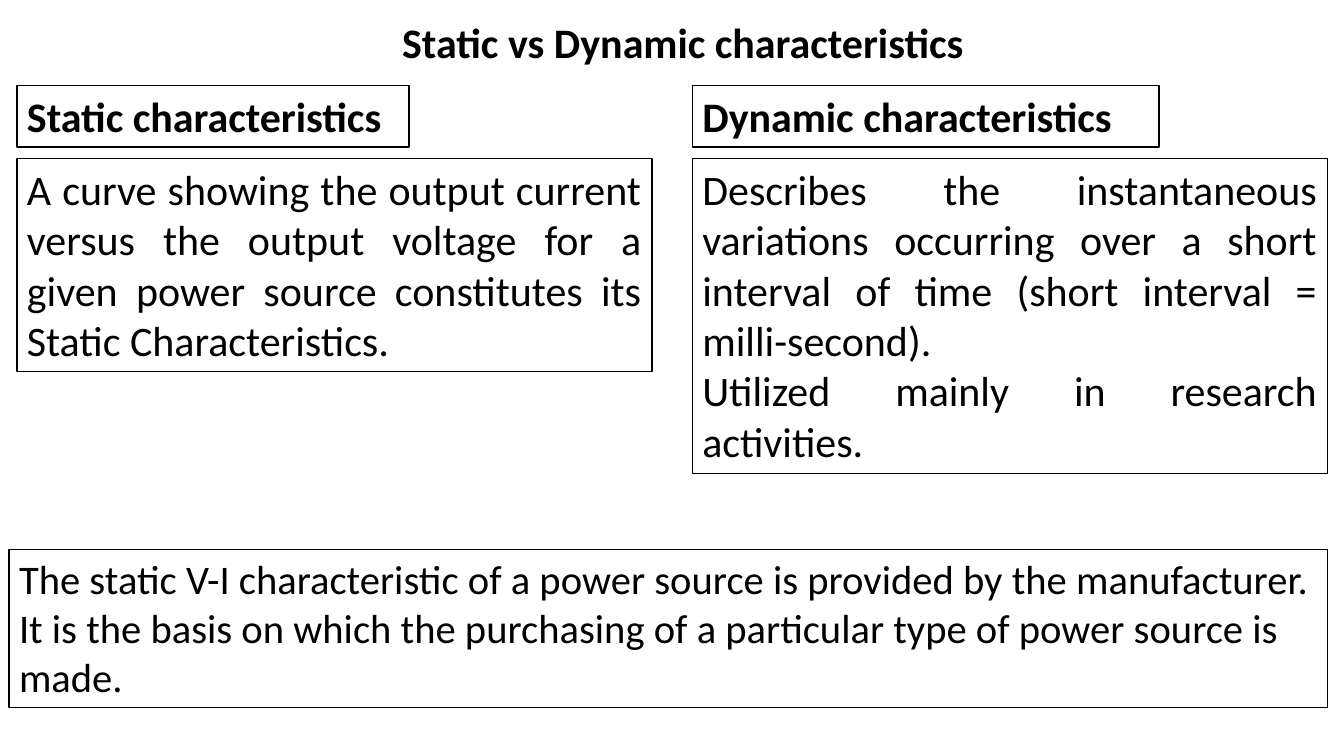
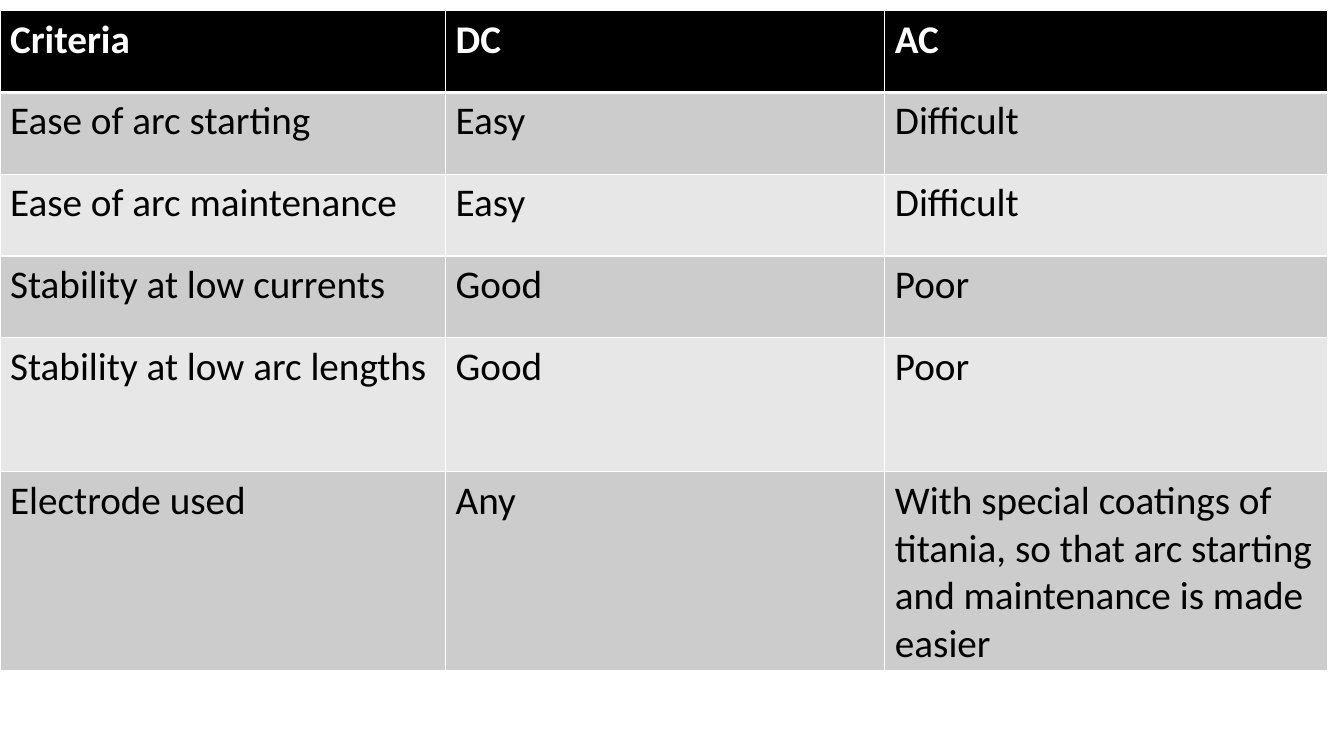
from dataclasses import dataclass

from lxml import etree
from pptx import Presentation
from pptx.dml.color import RGBColor
from pptx.enum import shapes, text
from pptx.oxml import ns
from pptx.util import Cm, Pt

FONT = "Calibri"
COLORS = {"ink": "000000", "paper": "FFFFFF", "odd_row": "CCCCCC", "even_row": "E7E7E7"}
JUSTIFY, LEFT = text.PP_ALIGN.JUSTIFY, text.PP_ALIGN.LEFT

COLUMN_LEFTS = (0.43, 17.45)
HEADING_TOP, BODY_TOP = 2.16, 3.99
HEADING_HEIGHT, BODY_WIDTH = 1.55, 16.0

CRITERIA_ROWS = (
    ("Criteria", "DC", "AC"),
    ("Ease of arc starting", "Easy", "Difficult"),
    ("Ease of arc maintenance", "Easy", "Difficult"),
    ("Stability at low currents", "Good", "Poor"),
    ("Stability at low arc lengths", "Good", "Poor"),
    ("Electrode used", "Any", "With special coatings of titania, so that arc starting "
     "and maintenance is made easier"),
)
COLUMN_WIDTHS = (11.23, 11.07, 11.15)
ROW_HEIGHTS = (2.06, 2.06, 2.06, 2.06, 3.38, 4.97)


@dataclass
class Box:
    """A framed text; lengths are in centimetres."""
    left: float
    top: float
    width: float
    height: float
    lines: tuple[str, ...]
    size: float = 30
    bold: bool = False
    align: text.PP_ALIGN = JUSTIFY


@dataclass
class Characteristic:
    heading: str
    heading_width: float
    body: tuple[str, ...]
    body_height: float


CHARACTERISTICS = (
    Characteristic("Static characteristics", 9.88, (
        "A curve showing the output current versus the output voltage for a given "
        "power source constitutes its Static Characteristics.",), 5.38),
    Characteristic("Dynamic characteristics", 11.76, (
        "Describes the instantaneous variations occurring over a short interval of time "
        "(short interval = milli-second).",
        "Utilized mainly in research activities."), 7.95),
)
SUMMARY = Box(0.23, 13.84, 33.22, 3.99, (
    "The static V-I characteristic of a power source is provided by the manufacturer.",
    "It is the basis on which the purchasing of a particular type of power source is made.",
), size=29, align=LEFT)


def rgb(name: str) -> RGBColor:
    return RGBColor.from_string(COLORS[name])


def write(tf, lines: tuple[str, ...], size: float, bold: bool = False,
          align: text.PP_ALIGN = LEFT, color: str = "ink") -> None:
    tf.text = "\n".join(lines)
    for p in tf.paragraphs:
        p.alignment = align
        for name, value in {"name": FONT, "size": Pt(size), "bold": bold}.items():
            setattr(p.font, name, value)
        p.font.color.rgb = rgb(color)


def fit_frame(tf) -> None:
    """Wrap from the top and let the shape follow its text."""
    frame_format = {"word_wrap": True, "vertical_anchor": text.MSO_ANCHOR.TOP,
                    "auto_size": text.MSO_AUTO_SIZE.SHAPE_TO_FIT_TEXT}
    for name, value in frame_format.items():
        setattr(tf, name, value)


def add_title(s, title: str) -> None:
    sp = s.shapes.title
    position = {"left": 9.88, "top": 0.3, "width": 15.29, "height": 1.55}
    for name, value in position.items():
        setattr(sp, name, Cm(value))
    fit_frame(sp.text_frame)
    write(sp.text_frame, (title,), 30, True, JUSTIFY)


def add_box(s, box: Box) -> None:
    place = (Cm(v) for v in (box.left, box.top, box.width, box.height))
    sp = s.shapes.add_shape(shapes.MSO_SHAPE.RECTANGLE, *place)
    sp.shadow.inherit = False
    sp.fill.solid()
    sp.fill.fore_color.rgb = rgb("paper")
    sp.line.color.rgb = rgb("ink")
    sp.line.width = Pt(1)
    fit_frame(sp.text_frame)
    write(sp.text_frame, box.lines, box.size, box.bold, box.align)


def set_borders(cell, widths: dict[str, float]) -> None:
    """Draw paper-coloured borders; keys are L, R, T and B in this order."""
    props = cell._tc.get_or_add_tcPr()
    for i, (side, width) in enumerate(widths.items()):
        line = etree.Element(ns.qn(f"a:ln{side}"), w=str(Pt(width)))
        fill = etree.SubElement(line, ns.qn("a:solidFill"))
        etree.SubElement(fill, ns.qn("a:srgbClr"), val=COLORS["paper"])
        props.insert(i, line)


def add_criteria_table(s) -> None:
    frame = s.shapes.add_table(len(CRITERIA_ROWS), len(COLUMN_WIDTHS), Cm(0), Cm(0.27),
                               Cm(sum(COLUMN_WIDTHS)), Cm(sum(ROW_HEIGHTS)))
    table = frame.table
    for column, width in zip(table.columns, COLUMN_WIDTHS):
        column.width = Cm(width)
    for i, (row, height, labels) in enumerate(zip(table.rows, ROW_HEIGHTS, CRITERIA_ROWS)):
        row.height = Cm(height)
        header = i == 0
        fill = "ink" if header else ("even_row", "odd_row")[i % 2]
        for cell, label in zip(row.cells, labels):
            cell.fill.solid()
            cell.fill.fore_color.rgb = rgb(fill)
            write(cell.text_frame, (label,), 28, header, color="paper" if header else "ink")
            set_borders(cell, {"L": 1, "R": 1, "T": 3 if i == 1 else 1, "B": 3 if header else 1})


def build_characteristics(prs) -> None:
    s = prs.slides.add_slide(prs.slide_layouts.get_by_name("Title Only"))
    add_title(s, "Static vs Dynamic characteristics")
    for left, item in zip(COLUMN_LEFTS, CHARACTERISTICS):
        add_box(s, Box(left, HEADING_TOP, item.heading_width, HEADING_HEIGHT,
                       (item.heading,), bold=True))
        add_box(s, Box(left, BODY_TOP, BODY_WIDTH, item.body_height, item.body))
    add_box(s, SUMMARY)


def build_criteria(prs) -> None:
    s = prs.slides.add_slide(prs.slide_layouts.get_by_name("Blank"))
    add_criteria_table(s)


def main() -> None:
    prs = Presentation()
    prs.slide_width, prs.slide_height = Cm(33.87), Cm(19.05)
    build_characteristics(prs)
    build_criteria(prs)
    prs.save("out.pptx")


if __name__ == "__main__":
    main()
